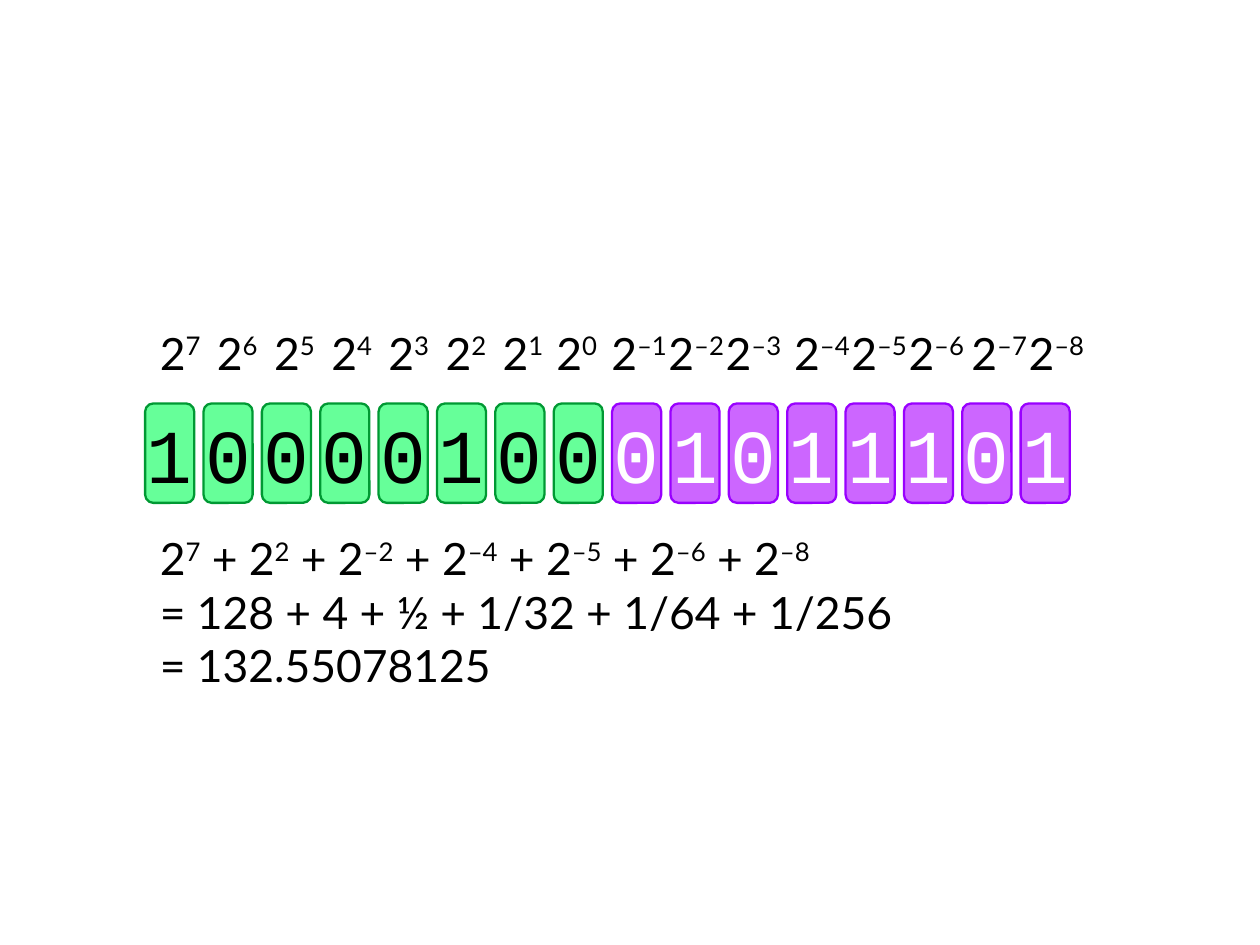
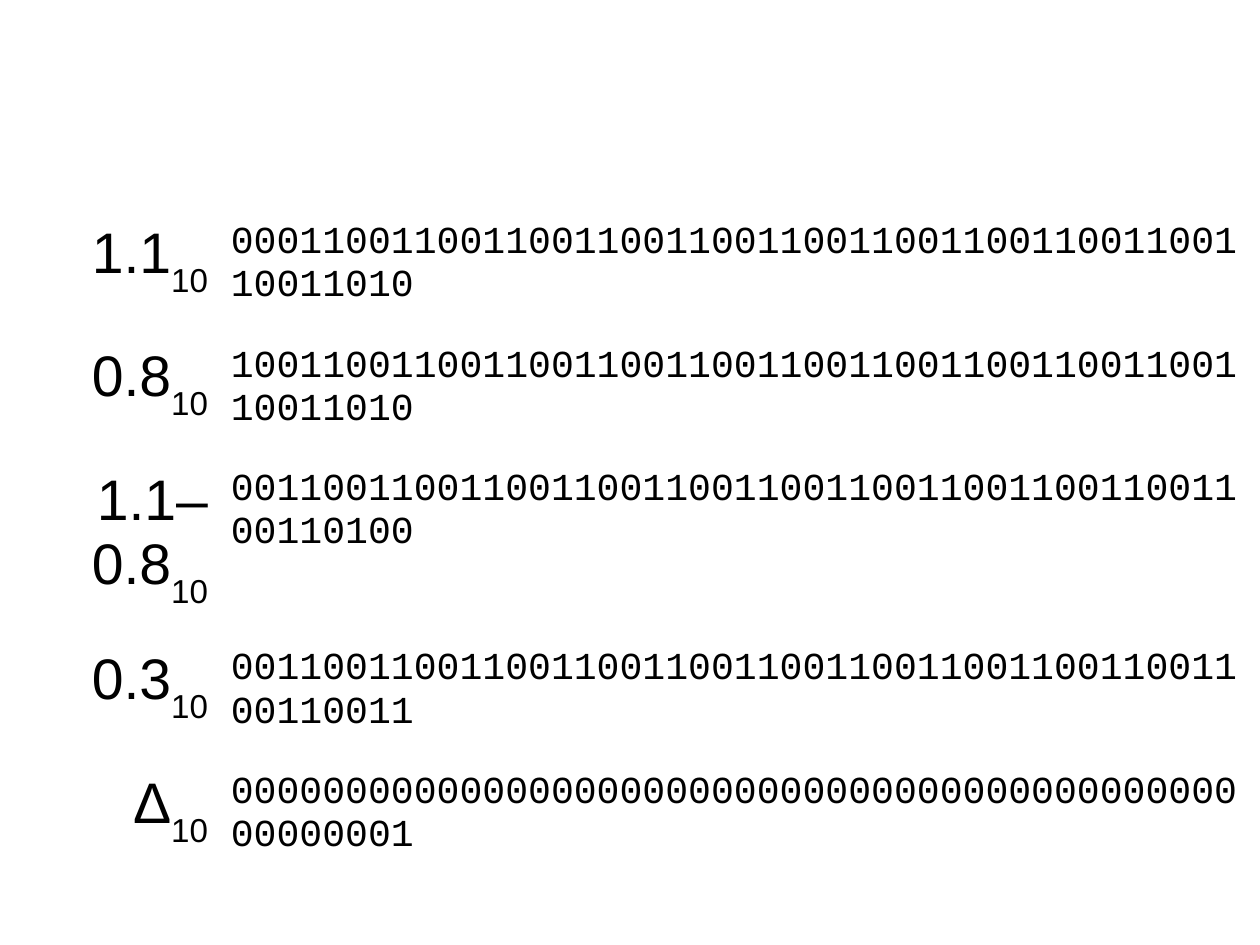
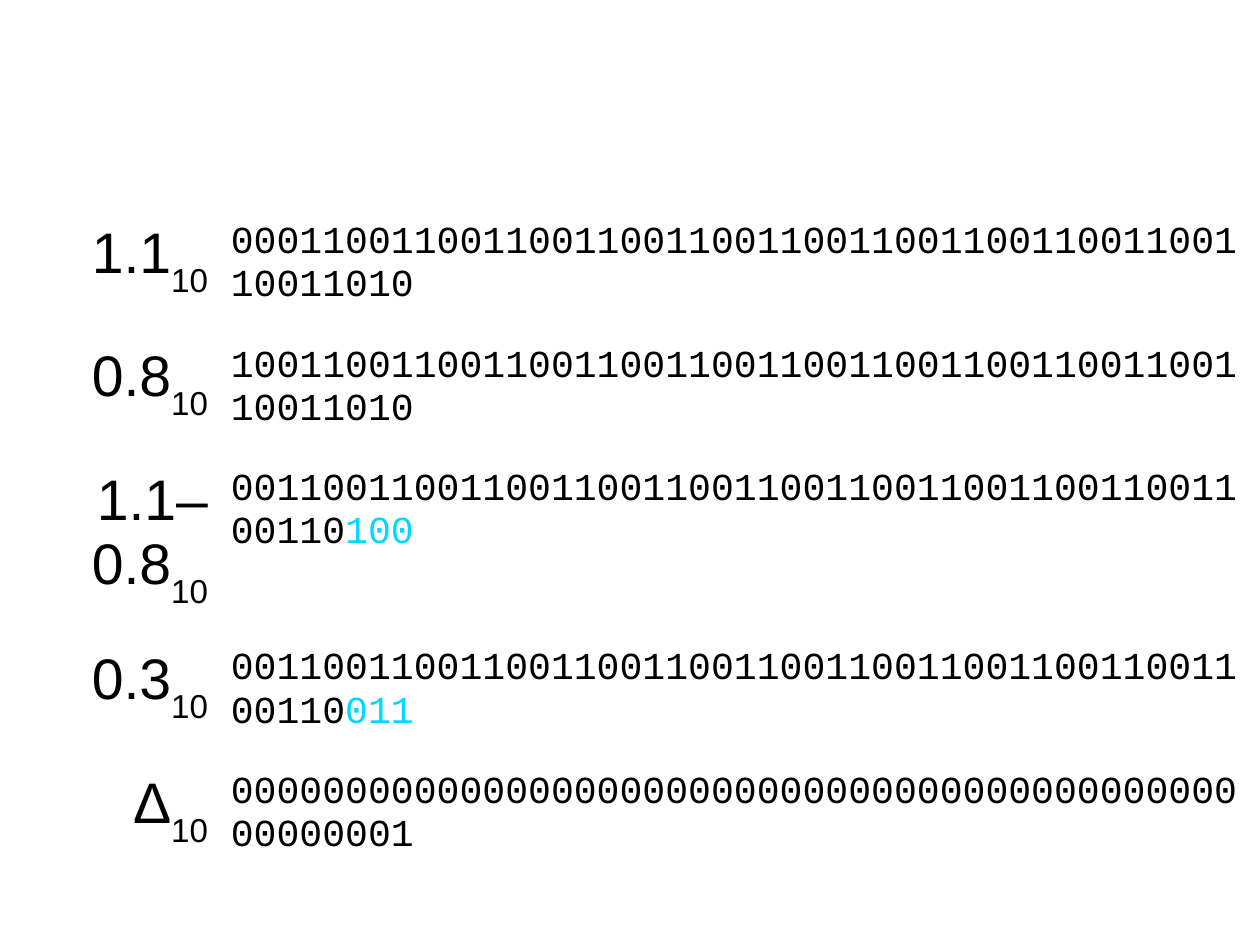
from pptx import Presentation
from pptx.dml.color import RGBColor
from pptx.enum.shapes import MSO_SHAPE
from pptx.enum.text import MSO_ANCHOR, PP_ALIGN
from pptx.util import Cm, Inches, Pt

COLORS = {
    "text": "000000",
    "whole_fill": "66FF99",
    "whole_line": "009933",
    "fraction_fill": "CC66FF",
    "fraction_line": "9900FF",
    "fraction_text": "FFFFFF",
    "highlight": "00D8FF",
}
SLIDE_WIDTH, SLIDE_HEIGHT = Cm(28), Cm(21)

BITS = "1000010001011101"
WHOLE_BITS = 8
FIRST_BIT_LEFT, LAST_BIT_LEFT, BIT_TOP = 1.27, 8.93, 3.53
BIT_PITCH = (LAST_BIT_LEFT - FIRST_BIT_LEFT) / (len(BITS) - 1)
BIT_WIDTH, BIT_HEIGHT = 0.43, 0.87

# Left edge of each run of powers, with its exponents
POWER_GROUPS = [
    (1.3, ["7", "6", "5", "4", "3", "2", "1"]),
    (4.77, ["0"]),
    (5.25, ["–1", "–2", "–3"]),
    (6.85, ["–4", "–5", "–6"]),
    (8.4, ["–7", "–8"]),
]
POWER_TOP, POWER_PITCH = 2.8, 0.5

SUM_EXPONENTS = ["7", "2", "–2", "–4", "–5", "–6", "–8"]
SUM_LINES = ["= 128 + 4 + ½ + 1/32 + 1/64 + 1/256", "= 132.55078125"]

TABLE_TOP = 1.89
LABEL_WIDTH = 1.92
ROW_HEIGHT, TALL_ROW_HEIGHT = 1.08, 1.57
# Label, binary digits, row height
BINARY_ROWS = [
    ("1.1", "0001100110011001100110011001100110011001100110011010", ROW_HEIGHT),
    ("0.8", "1001100110011001100110011001100110011001100110011010", ROW_HEIGHT),
    ("1.1–0.8", "0011001100110011001100110011001100110011001100110100", TALL_ROW_HEIGHT),
    ("0.3", "0011001100110011001100110011001100110011001100110011", ROW_HEIGHT),
    ("Δ", "0000000000000000000000000000000000000000000000000001", ROW_HEIGHT),
]
HIGHLIGHTED_LABELS = {"1.1–0.8", "0.3"}
HIGHLIGHTED_DIGITS = 3


def rgb(name):
    return RGBColor.from_string(COLORS[name])


def add_run(paragraph, text, font, size, color="text", baseline=0):
    """Append a run; baseline is the percentage it is raised or lowered."""
    run = paragraph.add_run()
    run.text = text
    run.font.name = font
    run.font.size = Pt(size)
    run.font.color.rgb = rgb(color)
    if baseline:
        run.font._element.set("baseline", str(baseline * 1000))


def add_power(paragraph, exponent, prefix=""):
    add_run(paragraph, prefix + "2", "Lato", 28)
    add_run(paragraph, exponent, "Lato", 28, baseline=33)


def add_text_box(slide, left, top, width, height):
    text_frame = slide.shapes.add_textbox(
        Inches(left), Inches(top), Inches(width), Inches(height)).text_frame
    text_frame.word_wrap = True
    return text_frame


def add_bit(slide, index, digit):
    part = "whole" if index < WHOLE_BITS else "fraction"
    shape = slide.shapes.add_shape(
        MSO_SHAPE.ROUNDED_RECTANGLE,
        Inches(FIRST_BIT_LEFT + index * BIT_PITCH), Inches(BIT_TOP),
        Inches(BIT_WIDTH), Inches(BIT_HEIGHT))
    shape.shadow.inherit = False
    shape.fill.solid()
    shape.fill.fore_color.rgb = rgb(part + "_fill")
    shape.line.color.rgb = rgb(part + "_line")
    shape.line.width = Pt(1.45)
    text_frame = shape.text_frame
    text_frame.word_wrap = False
    text_frame.vertical_anchor = MSO_ANCHOR.MIDDLE
    text_frame.margin_left = text_frame.margin_right = Inches(0.11)
    text_frame.margin_top = text_frame.margin_bottom = Inches(0.06)
    paragraph = text_frame.paragraphs[0]
    paragraph.alignment = PP_ALIGN.CENTER
    add_run(paragraph, digit, "Courier New", 48,
            "text" if part == "whole" else "fraction_text")


def add_power_labels(slide):
    for group_left, exponents in POWER_GROUPS:
        for index, exponent in enumerate(exponents):
            left = group_left + index * POWER_PITCH
            text_frame = add_text_box(slide, left, POWER_TOP, 0.75, 0.63)
            add_power(text_frame.paragraphs[0], exponent)


def add_sum(slide):
    text_frame = add_text_box(slide, 1.3, 4.6, 8.1, 1.68)
    for index, exponent in enumerate(SUM_EXPONENTS):
        add_power(text_frame.paragraphs[0], exponent, " + " if index else "")
    for line in SUM_LINES:
        add_run(text_frame.add_paragraph(), line, "Lato", 28)


def add_binary_table(slide, highlighted_labels):
    """Table of decimal labels and binary digits, last digits marked on request."""
    total_height = sum(height for _, _, height in BINARY_ROWS)
    table = slide.shapes.add_table(
        len(BINARY_ROWS), 2, 0, Inches(TABLE_TOP),
        SLIDE_WIDTH, Inches(total_height)).table
    table.first_row = table.horz_banding = False
    table.columns[0].width = Inches(LABEL_WIDTH)
    table.columns[1].width = SLIDE_WIDTH - Inches(LABEL_WIDTH)
    for row, (label, digits, height) in zip(table.rows, BINARY_ROWS):
        row.height = Inches(height)
        for cell in row.cells:
            cell.fill.background()
        label_paragraph, digits_paragraph = (
            cell.text_frame.paragraphs[0] for cell in row.cells)
        label_paragraph.alignment = PP_ALIGN.RIGHT
        add_run(label_paragraph, label, "Arial", 36)
        add_run(label_paragraph, "10", "Arial", 36, baseline=-33)
        if label in highlighted_labels:
            add_run(digits_paragraph, digits[:-HIGHLIGHTED_DIGITS], "Courier New", 24)
            add_run(digits_paragraph, digits[-HIGHLIGHTED_DIGITS:], "Courier New", 24,
                    "highlight")
        else:
            add_run(digits_paragraph, digits, "Courier New", 24)


def main():
    presentation = Presentation()
    presentation.slide_width = SLIDE_WIDTH
    presentation.slide_height = SLIDE_HEIGHT
    blank_layout = presentation.slide_layouts[6]

    fixed_point_slide = presentation.slides.add_slide(blank_layout)
    for index, digit in enumerate(BITS):
        add_bit(fixed_point_slide, index, digit)
    add_sum(fixed_point_slide)
    add_power_labels(fixed_point_slide)

    for highlighted_labels in (set(), HIGHLIGHTED_LABELS):
        add_binary_table(presentation.slides.add_slide(blank_layout), highlighted_labels)

    presentation.save("out.pptx")


if __name__ == "__main__":
    main()
